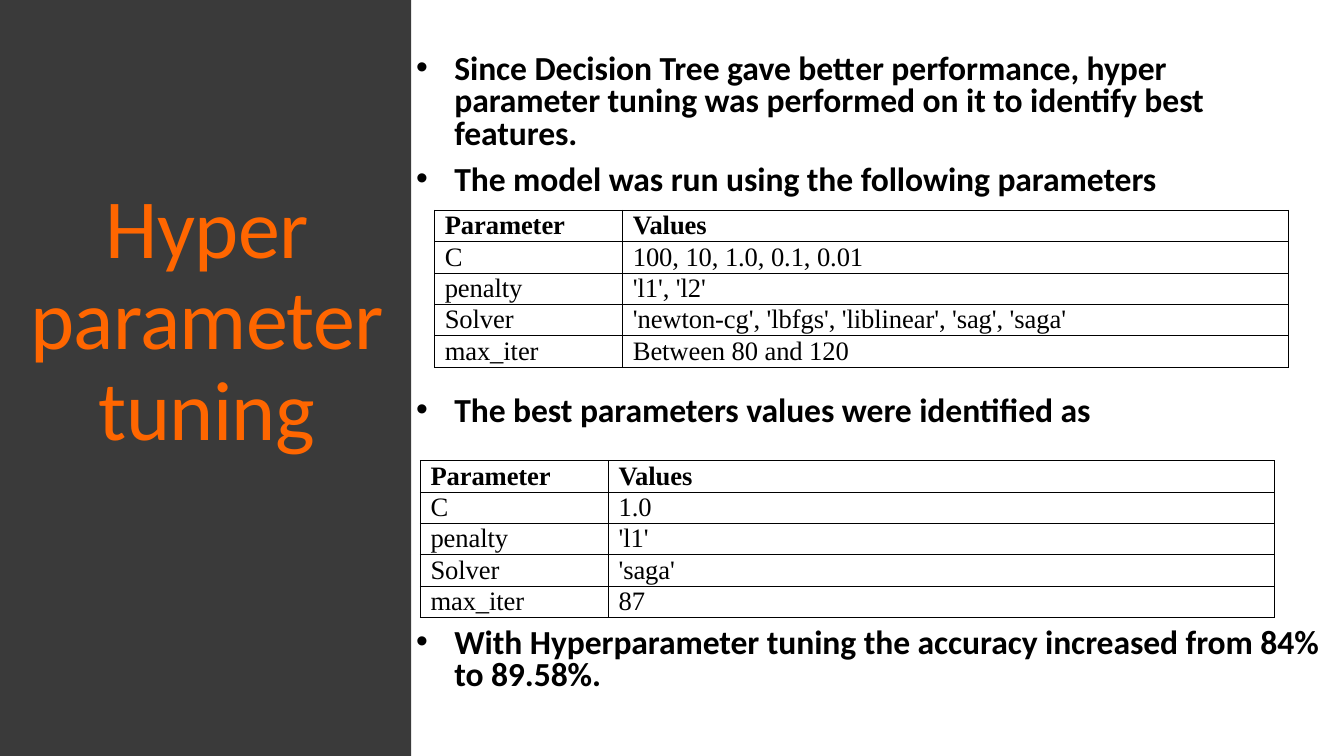
from dataclasses import dataclass

from lxml.etree import SubElement
from pptx import Presentation
from pptx.dml.color import RGBColor
from pptx.enum.shapes import MSO_SHAPE
from pptx.enum.text import PP_ALIGN
from pptx.oxml.ns import qn
from pptx.util import Cm, Pt

CHARCOAL = RGBColor(0x3A, 0x3A, 0x3A)
ORANGE = RGBColor(0xFF, 0x66, 0x00)
BLACK = RGBColor(0x00, 0x00, 0x00)

SIDEBAR_WIDTH = 10.36
BULLET_LEFT = 10.46
COLUMN_WIDTHS = (4.74, 16.79)
ROW_HEIGHT = 0.79


@dataclass(frozen=True)
class Bullet:
    text: str
    space_before: float
    line_spacing: float = 0.8


@dataclass(frozen=True)
class BulletBox:
    top: float
    width: float
    height: float
    inset_top: float
    bullets: tuple[Bullet, ...]


@dataclass(frozen=True)
class ParameterTable:
    left: float
    top: float
    values: tuple[str, ...]


PARAMETERS = ("C", "penalty", "Solver", "max_iter")

BULLET_BOXES = (
    BulletBox(1.15, 20.98, 3.86, 0.23, (
        Bullet("Since Decision Tree gave better performance, hyper parameter "
               "tuning was performed on it to identify best features.", 6.8),
        Bullet("The model was run using the following parameters", 4.3, 1.0),
    )),
    BulletBox(9.77, 17.15, 1.09, 0.03, (
        Bullet("The best parameters values were identified as", 1, 1.0),
    )),
    BulletBox(15.61, 23.0, 1.91, 0.23, (
        Bullet("With Hyperparameter tuning the accuracy increased from 84% to 89.58%.", 6.8),
    )),
)

TABLES = (
    ParameterTable(10.95, 5.3, (
        "100, 10, 1.0, 0.1, 0.01",
        "'l1', 'l2'",
        "'newton-cg', 'lbfgs', 'liblinear', 'sag', 'saga'",
        "Between 80 and 120",
    )),
    ParameterTable(10.59, 11.61, ("1.0", "'l1'", "'saga'", "87")),
)


def write_text(paragraph, text: str, *, size: float, font: str = "Calibri",
               color: RGBColor = BLACK, bold: bool = False, align=PP_ALIGN.LEFT,
               line_spacing=1.0, space_before: float = 0,
               letter_spacing: float = -0.05) -> None:
    paragraph.alignment = align
    paragraph.line_spacing = line_spacing
    paragraph.space_before = Pt(space_before)
    run = paragraph.add_run()
    run.text = text
    run.font.size = Pt(size)
    run.font.name = font
    run.font.bold = bold
    run.font.color.rgb = color
    run._r.get_or_add_rPr().set("spc", str(round(letter_spacing * 100)))


def add_frame(slide, left: float, top: float, width: float, height: float,
              inset_top: float):
    frame = slide.shapes.add_textbox(Cm(left), Cm(top), Cm(width), Cm(height)).text_frame
    frame.word_wrap = True
    frame.margin_left = frame.margin_right = frame.margin_bottom = 0
    frame.margin_top = Cm(inset_top)
    return frame


def add_bullet_mark(paragraph) -> None:
    properties = paragraph._p.get_or_add_pPr()
    properties.set("marL", str(Cm(0.99)))
    properties.set("indent", str(Cm(-0.96)))
    SubElement(properties, qn("a:buFont"), typeface="Arial")
    SubElement(properties, qn("a:buChar"), char="•")


def add_bullet_box(slide, box: BulletBox) -> None:
    frame = add_frame(slide, BULLET_LEFT, box.top, box.width, box.height, box.inset_top)
    for index, bullet in enumerate(box.bullets):
        paragraph = frame.add_paragraph() if index else frame.paragraphs[0]
        write_text(paragraph, bullet.text, size=24, bold=True,
                   line_spacing=bullet.line_spacing, space_before=bullet.space_before)
        add_bullet_mark(paragraph)


def add_borders(cell) -> None:
    properties = cell._tc.get_or_add_tcPr()
    for side in ("lnL", "lnR", "lnT", "lnB"):
        line = SubElement(properties, qn(f"a:{side}"), w=str(Pt(0.75)))
        fill = SubElement(line, qn("a:solidFill"))
        SubElement(fill, qn("a:srgbClr"), val=str(BLACK))


def add_parameter_table(slide, parameter_table: ParameterTable) -> None:
    rows = (("Parameter", "Values"), *zip(PARAMETERS, parameter_table.values))
    table = slide.shapes.add_table(
        len(rows), len(COLUMN_WIDTHS), Cm(parameter_table.left), Cm(parameter_table.top),
        Cm(sum(COLUMN_WIDTHS)), Cm(ROW_HEIGHT * len(rows))).table
    table.horz_banding = False
    table.first_row = False
    for column, width in zip(table.columns, COLUMN_WIDTHS):
        column.width = Cm(width)
    for row_index, texts in enumerate(rows):
        table.rows[row_index].height = Cm(ROW_HEIGHT)
        for column_index, text in enumerate(texts):
            cell = table.cell(row_index, column_index)
            cell.margin_left = Cm(0.26)
            cell.margin_right = cell.margin_top = cell.margin_bottom = 0
            add_borders(cell)
            cell.fill.background()
            write_text(cell.text_frame.paragraphs[0], text, size=19,
                       font="Times New Roman", bold=row_index == 0,
                       line_spacing=Pt(21.5))


def add_sidebar(slide, height: int) -> None:
    sidebar = slide.shapes.add_shape(MSO_SHAPE.RECTANGLE, 0, 0, Cm(SIDEBAR_WIDTH), height)
    sidebar.shadow.inherit = False
    sidebar.fill.solid()
    sidebar.fill.fore_color.rgb = CHARCOAL
    sidebar.line.fill.background()
    title = add_frame(slide, 0.46, 4.41, 9.5, 7.19, 0.28)
    write_text(title.paragraphs[0], "Hyper parameter tuning", size=60, color=ORANGE,
               align=PP_ALIGN.CENTER, line_spacing=0.9, space_before=8.2,
               letter_spacing=-0.5)


def main() -> None:
    presentation = Presentation()
    presentation.slide_width = Cm(33.87)
    presentation.slide_height = Cm(19.05)
    slide = presentation.slides.add_slide(presentation.slide_layouts[6])
    add_sidebar(slide, presentation.slide_height)
    for box in BULLET_BOXES:
        add_bullet_box(slide, box)
    for parameter_table in TABLES:
        add_parameter_table(slide, parameter_table)
    presentation.save("out.pptx")


if __name__ == "__main__":
    main()
